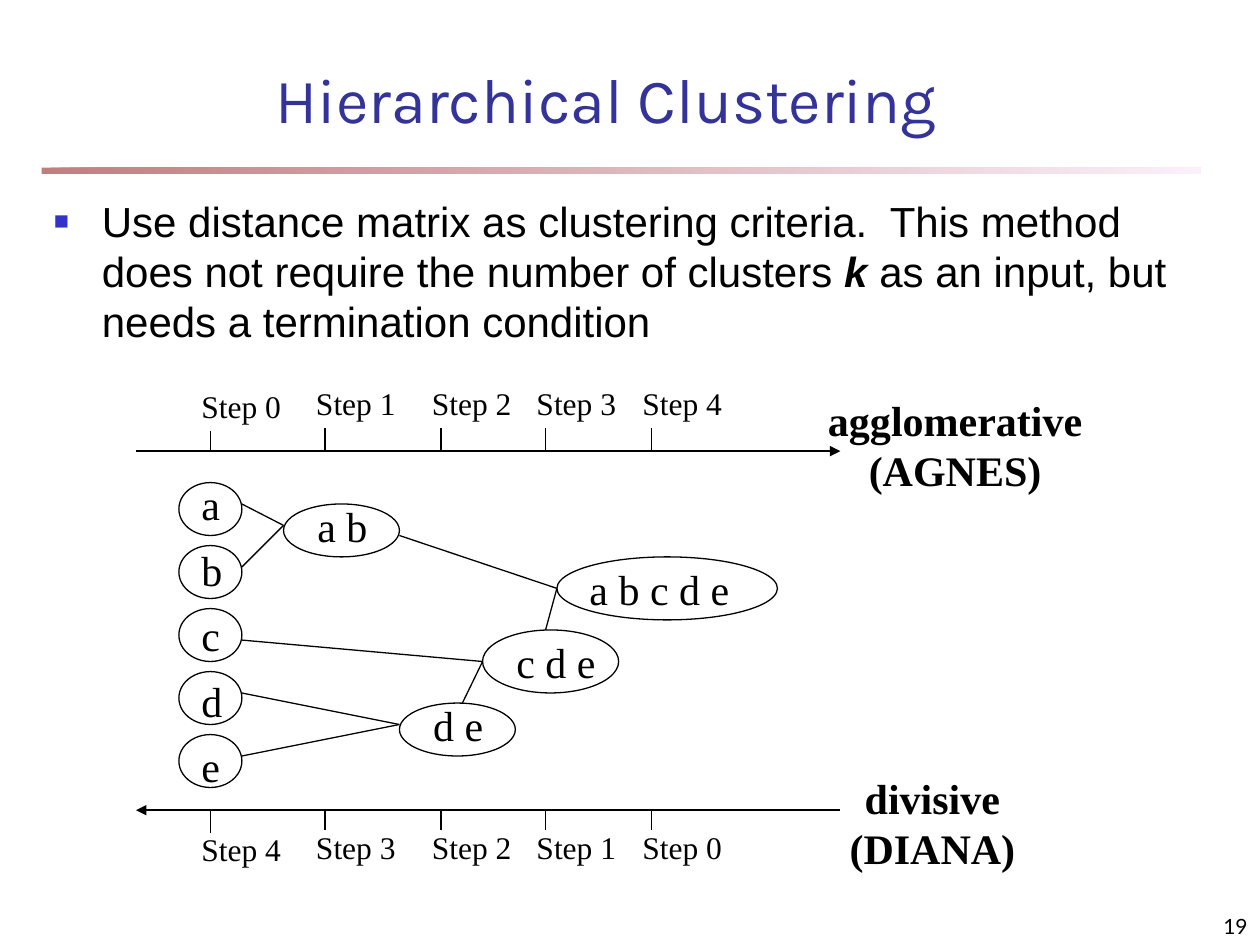
"""Build the hierarchical clustering slide with its AGNES / DIANA diagram."""
from lxml.etree import SubElement
from pptx import Presentation
from pptx.dml.color import RGBColor
from pptx.enum.shapes import MSO_CONNECTOR, MSO_SHAPE
from pptx.enum.text import MSO_ANCHOR, MSO_AUTO_SIZE, PP_ALIGN
from pptx.oxml.ns import qn
from pptx.util import Inches, Pt

COLORS = {"text": "000000", "title": "333399", "bullet": "3333CC",
          "rule_start": "800000", "rule_end": "FAE2F6"}
SERIF = {"name": "Times New Roman", "size": Pt(24)}
STEP = {**SERIF, "size": Pt(18)}
LABEL = {**SERIF, "bold": True}
BODY = {"name": "Arial", "size": Pt(24)}
TITLE = {"name": "Karla", "size": Pt(36)}
NUMBER = {"name": "Lato", "size": Pt(12)}

TICKS = [1.67, 2.58, 3.5, 4.33, 5.17]
MERGED = [
    ("a b", (2.25, 4, 0.92, 0.42), (2.42, 3.92, 0.6)),
    ("d e", (3.17, 5.58, 0.92, 0.42), (3.34, 5.5, 0.6)),
    ("c d e", (3.83, 5, 1.08, 0.5), (4, 5, 0.83)),
    ("a b c d e", (4.42, 4.42, 1.75, 0.5), (4.58, 4.42, 1.31)),
]
LINKS = [
    (1.92, 4, 2.25, 4.17), (1.92, 4.5, 2.25, 4.17),
    (1.92, 5.5, 3.17, 5.75), (1.92, 6, 3.17, 5.75),
    (1.92, 5.08, 3.83, 5.25), (3.67, 5.58, 3.83, 5.25),
    (3.17, 4.25, 4.42, 4.67), (4.33, 5, 4.42, 4.67),
]


def rgb(key):
    return RGBColor.from_string(COLORS[key])


def add_run(p, text, fmt, color="text"):
    r = p.add_run()
    r.text = text
    for name, value in fmt.items():
        setattr(r.font, name, value)
    r.font.color.rgb = rgb(color)


def add_text(s, box, lines, fmt, color="text", align=PP_ALIGN.LEFT,
             anchor=MSO_ANCHOR.TOP, wrap=True):
    sp = s.shapes.add_textbox(*map(Inches, box))
    tf = sp.text_frame
    tf.word_wrap = wrap
    tf.vertical_anchor = anchor
    if not wrap:
        tf.auto_size = MSO_AUTO_SIZE.SHAPE_TO_FIT_TEXT
    for i, line in enumerate(lines):
        p = tf.add_paragraph() if i else tf.paragraphs[0]
        p.alignment = align
        add_run(p, line, fmt, color)
    return tf


def add_bullet(p):
    pPr = p._p.get_or_add_pPr()
    pPr.set("marL", str(Inches(0.38)))
    pPr.set("indent", str(-Inches(0.38)))
    clr = SubElement(pPr, qn("a:buClr"))
    SubElement(clr, qn("a:srgbClr"), val=COLORS["bullet"])
    SubElement(pPr, qn("a:buSzPct"), val="60000")
    SubElement(pPr, qn("a:buFont"), typeface="Arial")
    SubElement(pPr, qn("a:buChar"), char="\u25a0")


def add_line(s, ends, width=0.74, arrow=None):
    sp = s.shapes.add_connector(MSO_CONNECTOR.STRAIGHT, *map(Inches, ends))
    sp.line.color.rgb = rgb("text")
    sp.line.width = Pt(width)
    if arrow:
        SubElement(sp.line._get_or_add_ln(), qn(arrow), type="triangle")
    SubElement(sp._element.spPr, qn("a:effectLst"))


def add_ellipse(s, box):
    sp = s.shapes.add_shape(MSO_SHAPE.OVAL, *map(Inches, box))
    sp.shadow.inherit = False
    sp.fill.background()
    sp.line.color.rgb = rgb("text")
    sp.line.width = Pt(0.74)


def add_rule(s):
    sp = s.shapes.add_shape(MSO_SHAPE.RECTANGLE, *map(Inches, (0.33, 1.33, 9.2, 0.05)))
    sp.shadow.inherit = False
    sp.line.fill.background()
    sp.fill.gradient()
    sp.fill.gradient_angle = 0
    for stop, key in zip(sp.fill.gradient_stops, ("rule_start", "rule_end")):
        stop.color.rgb = rgb(key)
    for clr in sp._element.spPr.iter(qn("a:srgbClr")):
        SubElement(clr, qn("a:alpha"), val="50000")


def add_timeline(s, y, arrow, steps, tick_top, text_top):
    add_line(s, (1.08, y, 6.67, y), 1.5, arrow)
    for i, (x, step) in enumerate(zip(TICKS, steps)):
        drop = 0 if i else 0.02
        add_line(s, (x, tick_top + drop, x, tick_top + drop + 0.17))
        add_text(s, (x - 0.17, text_top + drop, 0.83, 0.4), [f"Step {step}"], STEP)


def add_clusters(s):
    for i, name in enumerate("abcde"):
        add_text(s, (1.5, 3.75 + 0.52 * i, 0.35, 0.5), [name], SERIF, wrap=False)
        add_ellipse(s, (1.42, 3.83 + 0.5 * i, 0.5, 0.42))
    for name, oval, place in MERGED:
        add_text(s, (*place, 0.5), [name], SERIF, wrap=False)
        add_ellipse(s, oval)
    for ends in LINKS:
        add_line(s, ends)


def main():
    prs = Presentation()
    prs.slide_width, prs.slide_height = Inches(10), Inches(7.5)
    s = prs.slides.add_slide(prs.slide_layouts[6])
    add_rule(s)
    add_text(s, (0.82, 0.54, 7.98, 0.48), ["Hierarchical Clustering"], TITLE, "title",
             PP_ALIGN.CENTER, MSO_ANCHOR.MIDDLE)
    tf = add_text(s, (0.33, 1.5, 9.08, 1.33),
                  ["Use distance matrix as clustering criteria.  This method does not "
                   "require the number of clusters "], BODY)
    p = tf.paragraphs[0]
    add_run(p, "k", {**BODY, "bold": True, "italic": True})
    add_run(p, " as an input, but needs a termination condition", BODY)
    add_bullet(p)
    add_timeline(s, 3.58, "a:tailEnd", range(5), 3.4, 3)
    add_clusters(s)
    add_timeline(s, 6.43, "a:headEnd", range(4, -1, -1), 6.42, 6.52)
    for box, lines in (((6.47, 3.08, 2.22, 0.9), ["agglomerative", "(AGNES)"]),
                       ((6.59, 6.08, 1.62, 0.9), ["divisive", "(DIANA)"])):
        add_text(s, box, lines, LABEL, align=PP_ALIGN.CENTER, wrap=False)
    add_text(s, (7.92, 7.08, 2.08, 0.42), ["19"], NUMBER, align=PP_ALIGN.RIGHT,
             anchor=MSO_ANCHOR.BOTTOM)
    prs.save("out.pptx")


main()
